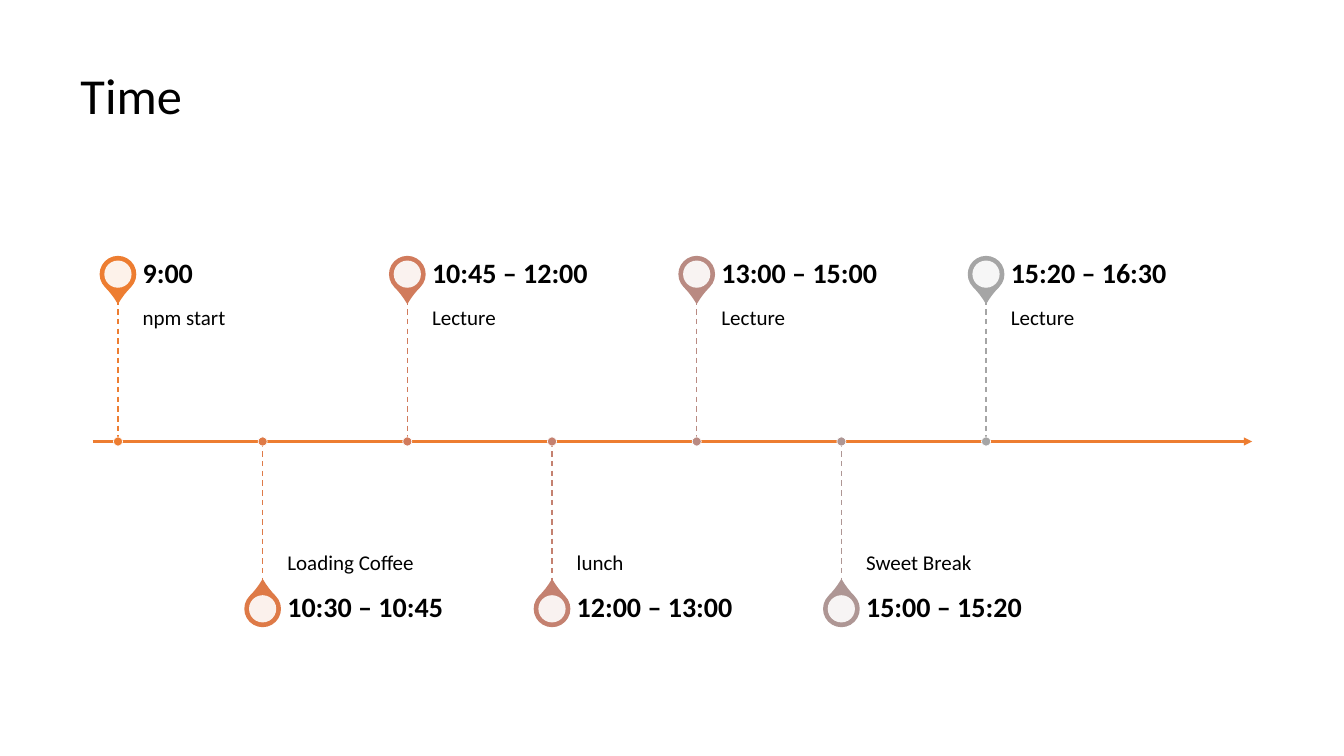
from pptx import Presentation
from pptx.dml.color import RGBColor
from pptx.enum.dml import MSO_LINE
from pptx.enum.shapes import MSO_CONNECTOR, MSO_SHAPE
from pptx.enum.text import MSO_ANCHOR
from pptx.oxml.ns import qn
from pptx.util import Inches, Pt
from lxml import etree

STRAIGHT = MSO_CONNECTOR.STRAIGHT
DASH = MSO_LINE.DASH
OVAL, DROP = MSO_SHAPE.OVAL, MSO_SHAPE.TEAR
TOP, MIDDLE, BOTTOM = MSO_ANCHOR.TOP, MSO_ANCHOR.MIDDLE, MSO_ANCHOR.BOTTOM

# Content: time, event, colour
TITLE = "Time"
EVENTS = [
    ("9:00", "npm start", RGBColor(0xED, 0x7D, 0x31)),
    ("10:30 – 10:45", "Loading Coffee", RGBColor(0xDE, 0x7A, 0x47)),
    ("10:45 – 12:00", "Lecture", RGBColor(0xD1, 0x7B, 0x5C)),
    ("12:00 – 13:00", "lunch", RGBColor(0xC4, 0x81, 0x70)),
    ("13:00 – 15:00", "Lecture", RGBColor(0xB9, 0x8A, 0x82)),
    ("15:00 – 15:20", "Sweet Break", RGBColor(0xAE, 0x96, 0x94)),
    ("15:20 – 16:30", "Lecture", RGBColor(0xA5, 0xA5, 0xA5)),
]
ORANGE = RGBColor(0xED, 0x7D, 0x31)
BLACK = RGBColor(0, 0, 0)
WHITE = RGBColor(0xFF, 0xFF, 0xFF)

# Layout in inches
AXIS = 4.38
LEFT, RIGHT = 0.92, 12.42
FIRST, STEP = 1.17, 1.435
STEM, REACH = 1.41, 1.66      # axis to pin tip, axis to pin centre
PIN, HOLE, DOT = 0.35, 0.27, 0.09
GAP, WIDE, HIGH = 0.245, 2.39, 0.49

deck = Presentation()
deck.slide_width, deck.slide_height = Inches(13.33), Inches(7.5)
slide = deck.slides.add_slide(deck.slide_layouts[6])


def add_text(text, box, size, anchor, pad, bold=False):
    frame = slide.shapes.add_textbox(*map(Inches, box)).text_frame
    frame.word_wrap = True
    frame.vertical_anchor = anchor
    (frame.margin_left, frame.margin_top,
     frame.margin_right, frame.margin_bottom) = map(Inches, pad)
    para = frame.paragraphs[0]
    para.line_spacing = 0.9
    run = para.add_run()
    run.text = text
    run.font.name, run.font.size, run.font.bold = "Calibri", Pt(size), bold
    run.font.color.rgb = BLACK


def add_line(x1, y1, x2, y2, color, width):
    line = slide.shapes.add_connector(STRAIGHT, *map(Inches, (x1, y1, x2, y2)))
    line.line.color.rgb = color
    line.line.width = Pt(width)
    etree.SubElement(line._element.spPr, qn("a:effectLst"))
    return line


def add_mark(kind, x, y, size, fill, edge=None, width=1):
    """Place a square shape centred on x, y."""
    mark = slide.shapes.add_shape(
        kind, Inches(x - size / 2), Inches(y - size / 2), Inches(size), Inches(size))
    mark.shadow.inherit = False
    mark.fill.solid()
    mark.fill.fore_color.rgb = fill
    if edge is None:
        mark.line.fill.background()
    else:
        mark.line.color.rgb = edge
        mark.line.width = Pt(width)
    return mark


# Title
add_text(TITLE, (0.7, 0.35, 11.93, 1.24), 36, MIDDLE, (0.1, 0.05, 0.1, 0.05))

# Time axis
axis = add_line(LEFT, AXIS, RIGHT, AXIS, ORANGE, 1.5)
etree.SubElement(axis.line._get_or_add_ln(), qn("a:tailEnd"), type="triangle")

# Events alternate above and below the axis
for i, (time, event, color) in enumerate(EVENTS):
    x = FIRST + i * STEP
    above = i % 2 == 0
    side = -1 if above else 1
    tip, hub = AXIS + side * STEM, AXIS + side * REACH

    # Pin
    pin = add_mark(DROP, x, hub, PIN, color, color)
    pin.adjustments[0] = 1.15
    pin.rotation = 135 if above else 315
    hole = add_mark(OVAL, x, hub, HOLE, WHITE)
    tone = hole._element.spPr.find(qn("a:solidFill"))[0]
    etree.SubElement(tone, qn("a:alpha"), val="90000")

    # Labels
    start = x + GAP
    add_text(event, (start, min(tip, AXIS), WIDE, STEM), 15,
             TOP if above else BOTTOM,
             (0, 0.1, 0.1, 0.16) if above else (0, 0.16, 0, 0.1))
    add_text(time, (start, tip - HIGH if above else tip, WIDE, HIGH), 20,
             MIDDLE, (0, 0, 0.14, 0), bold=True)

    # Stem and dot
    stem = add_line(x, min(tip, AXIS), x, max(tip, AXIS), color, 1)
    stem.line.dash_style = DASH
    add_mark(OVAL, x, AXIS, DOT, color, WHITE, 0.5)

deck.save("out.pptx")
